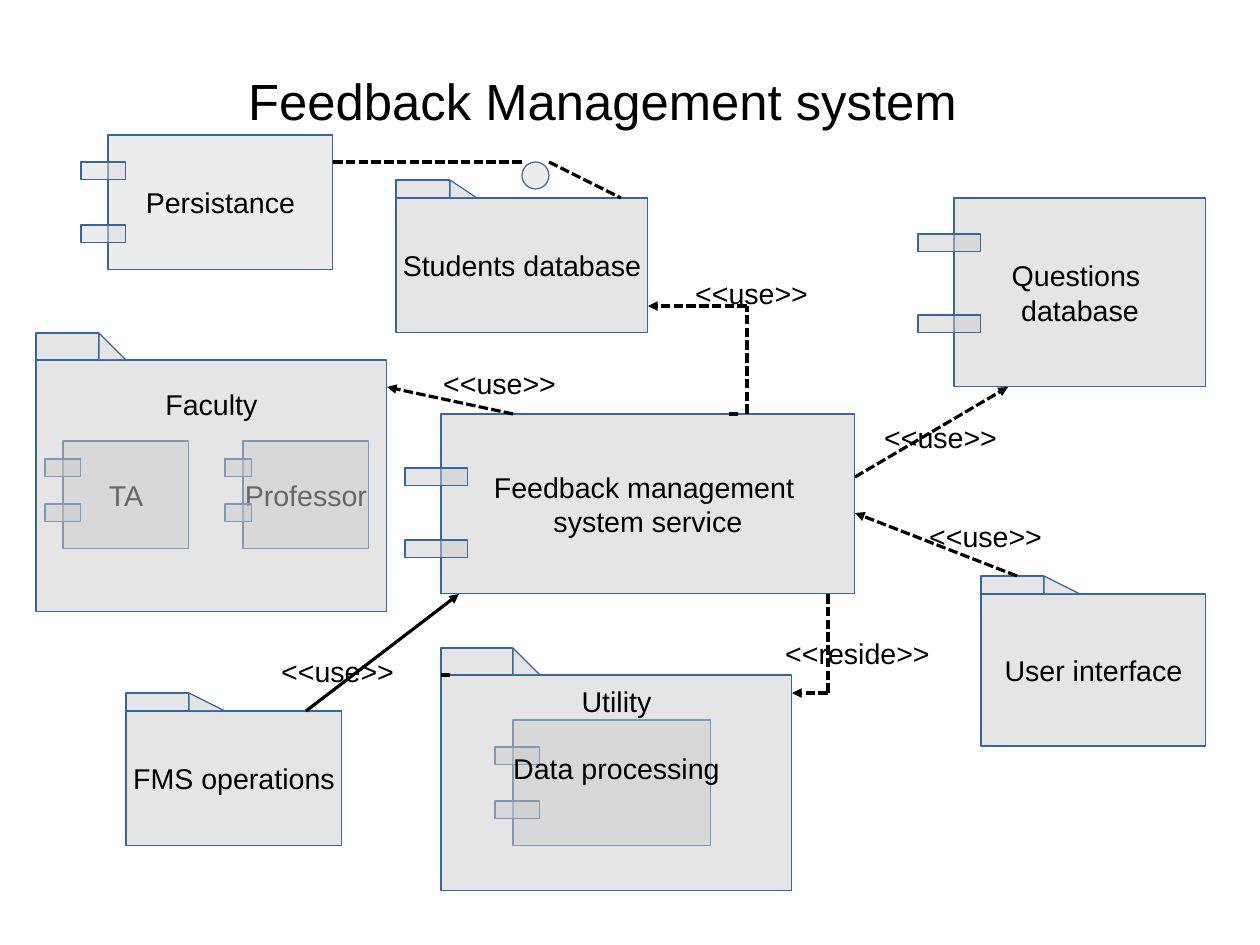
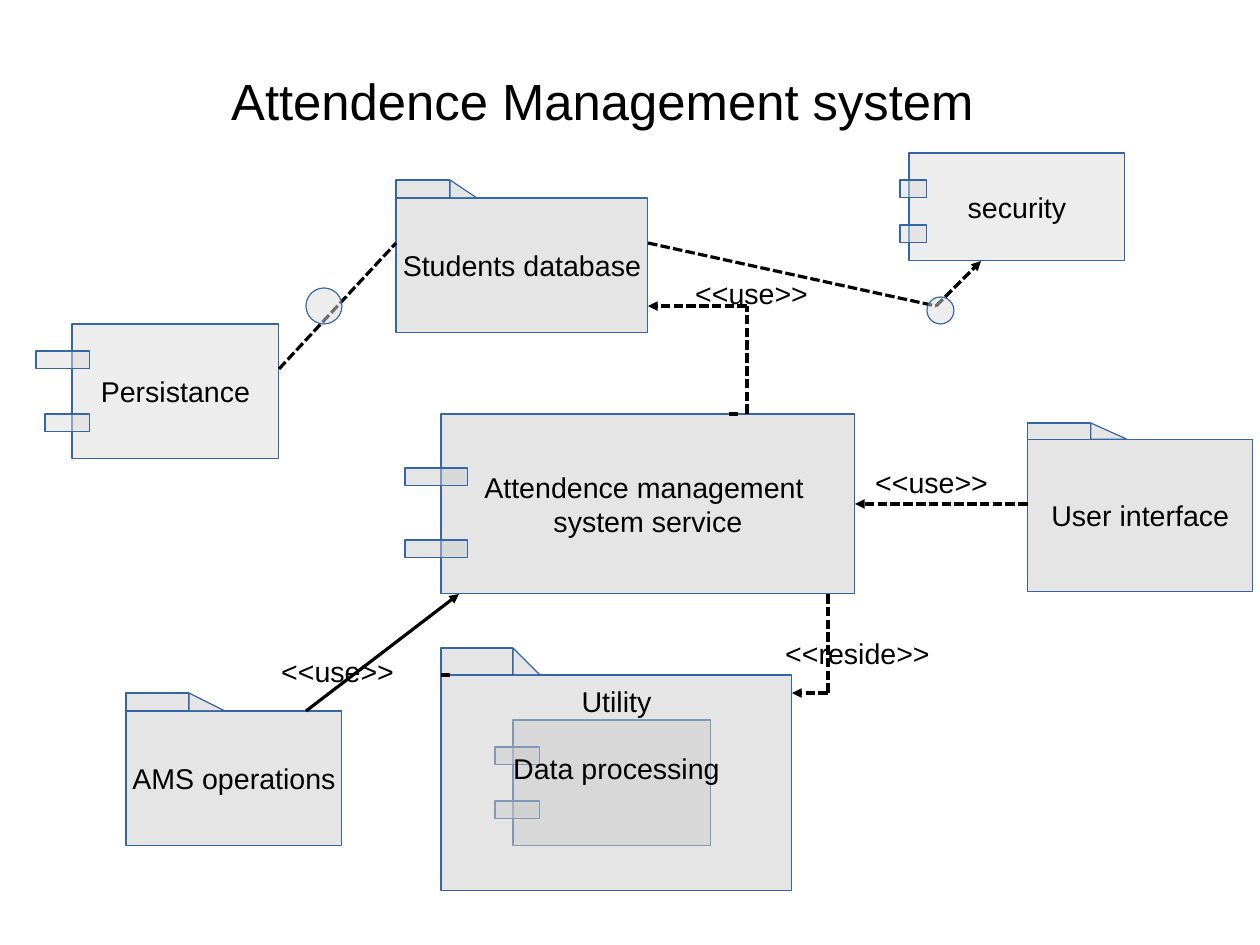
"""Build two UML component diagrams of management systems."""
from dataclasses import dataclass

from lxml import etree
from pptx import Presentation
from pptx.dml.color import RGBColor
from pptx.enum import dml, shapes, text
from pptx.oxml.ns import qn
from pptx.util import Cm, Pt

FONT = "Arial"
COLORS = {"ink": "000000", "outline": "3465A4", "grey": "CCCCCC", "pale": "DDDDDD"}
RECT = shapes.MSO_SHAPE.RECTANGLE
LUG_HEIGHT = 0.4
LABEL_HEIGHT = 0.96
LINE_PITCH = Pt(20.7)


@dataclass(frozen=True)
class Box:
    left: float
    top: float
    width: float
    height: float


@dataclass(frozen=True)
class Component:
    box: Box
    lines: tuple[str, ...]
    lug_outs: tuple[float, float]
    lug_inset: float
    lug_downs: tuple[float, float]
    fill: str = "grey"


@dataclass(frozen=True)
class Package:
    box: Box
    lines: tuple[str, ...]
    tab_width: float
    tab_height: float
    slope_width: float
    text_down: float | None = None


@dataclass(frozen=True)
class Link:
    points: tuple[tuple[float, float], ...]
    arrow: bool = True
    dashed: bool = True


@dataclass(frozen=True)
class Label:
    left: float
    top: float
    width: float
    wording: str = "<<use>>"


@dataclass(frozen=True)
class Interface:
    left: float
    top: float
    size: float


@dataclass(frozen=True)
class Diagram:
    title: str
    elements: tuple


def shared_elements(system: str, initials: str) -> tuple:
    return (
        Component(Box(9.8, 9.2, 9.2, 4), (f"{system} management ", "system service"),
                  (0.8, 0.8), 0.6, (1.2, 2.8)),
        Component(Box(11.4, 16, 4.4, 2.8), (), (0.4, 0.4), 0.6, (0.6, 1.8)),
        Package(Box(9.8, 15, 7.8, 4.8), ("Utility", "Data processing"), 1.6, 0.6, 0.6, 0.2),
        Package(Box(2.8, 15.8, 4.8, 3), (f"{initials} operations",), 1.4, 0.4, 0.8),
        Package(Box(8.8, 4.4, 5.6, 3), ("Students database",), 1.2, 0.4, 0.6),
        Link(((10, 15), (9.8, 15)), arrow=False),
        Link(((16.2, 9.2), (16.4, 9.2)), arrow=False),
        Link(((18.4, 13.2), (18.4, 15.4), (17.6, 15.4))),
        Link(((16.6, 9.2), (16.6, 6.8), (14.4, 6.8))),
        Link(((6.8, 15.8), (10.2, 13.2)), dashed=False),
        Label(17.2, 14, 3.8, "<<reside>>"),
        Label(6, 14.4, 3.8),
        Label(15.2, 6, 3.6),
    )


DIAGRAMS = (
    Diagram("Feedback Management system", shared_elements("Feedback", "FMS") + (
        Component(Box(21.2, 4.4, 5.6, 4.2), ("Questions ", "database"),
                  (0.8, 0.8), 0.6, (0.8, 2.6)),
        Component(Box(1.4, 9.8, 2.8, 2.4), ("TA",), (0.4, 0.4), 0.4, (0.4, 1.4)),
        Component(Box(5.4, 9.8, 2.8, 2.4), ("Professor",), (0.4, 0.4), 0.2, (0.4, 1.4)),
        Component(Box(2.4, 3, 5, 3), ("Persistance",), (0.6, 0.6), 0.4, (0.6, 2), "pale"),
        Package(Box(0.8, 8, 7.8, 5.6), ("Faculty",), 1.4, 0.6, 0.6, 0.6),
        Package(Box(21.8, 13.2, 5, 3.38), ("User interface",), 1.4, 0.4, 0.8),
        Link(((19, 10.6), (22.4, 8.6))),
        Link(((22.6, 12.8), (19, 11.4))),
        Link(((11.4, 9.2), (8.6, 8.6))),
        Link(((7.4, 3.6), (11.6, 3.6)), arrow=False),
        Link(((12.2, 3.6), (13.8, 4.4)), arrow=False),
        Label(19.4, 9.2, 3.6),
        Label(9.6, 8, 3.6),
        Label(20.4, 11.4, 4.8),
        Interface(11.6, 3.6, 0.6),
    )),
    Diagram("Attendence Management system", shared_elements("Attendence", "AMS") + (
        Component(Box(1.6, 7.2, 4.6, 3), ("Persistance",), (0.8, 0.6), 0.4, (0.6, 2), "pale"),
        Component(Box(20.2, 3.4, 4.8, 2.4), ("security",), (0.2, 0.2), 0.4, (0.6, 1.6), "pale"),
        Package(Box(22.84, 9.76, 5, 3.38), ("User interface",), 1.4, 0.36, 0.8),
        Link(((22.84, 11.2), (19, 11.2))),
        Link(((6.2, 8.2), (8.8, 5.4)), arrow=False),
        Link(((14.4, 5.4), (20.8, 6.8)), arrow=False),
        Link(((20.8, 6.8), (21.8, 5.8))),
        Label(19.2, 10.2, 3.8),
        Interface(6.8, 6.4, 0.8),
        Interface(20.6, 6.6, 0.6),
    )),
)


def color(name: str) -> RGBColor:
    return RGBColor.from_string(COLORS[name])


def write(frame, lines: tuple[str, ...], size: int, align) -> None:
    for index, line in enumerate(lines):
        para = frame.paragraphs[0] if index == 0 else frame.add_paragraph()
        para.text = line
        para.alignment = align
        para.font.name = FONT
        para.font.size = Pt(size)
        para.font.color.rgb = color("ink")


def draw_shape(page, kind, box: Box, fill: str):
    shape = page.shapes.add_shape(
        kind, Cm(box.left), Cm(box.top), Cm(box.width), Cm(box.height))
    shape.shadow.inherit = False
    shape.fill.solid()
    shape.fill.fore_color.rgb = color(fill)
    tint = next(shape.element.spPr.iter(qn("a:srgbClr")))
    etree.SubElement(tint, qn("a:alpha"), val="50000")
    shape.line.color.rgb = color("outline")
    shape.line.width = Pt(0)
    return shape


def draw_body(page, box: Box, lines: tuple[str, ...], fill: str):
    frame = draw_shape(page, RECT, box, fill).text_frame
    frame.word_wrap = False
    frame.vertical_anchor = text.MSO_ANCHOR.MIDDLE
    write(frame, lines, 18, text.PP_ALIGN.CENTER)
    return frame


def draw_component(page, component: Component) -> None:
    box = component.box
    draw_body(page, box, component.lines, component.fill)
    for out, down in zip(component.lug_outs, component.lug_downs):
        lug = Box(box.left - out, box.top + down, out + component.lug_inset, LUG_HEIGHT)
        draw_shape(page, RECT, lug, component.fill)


def draw_package(page, folder: Package) -> None:
    box = folder.box
    frame = draw_body(page, box, folder.lines, "grey")
    if folder.text_down is not None:
        frame.vertical_anchor = text.MSO_ANCHOR.TOP
        frame.margin_top = Cm(folder.text_down)
        for para in frame.paragraphs[1:]:
            para.space_before = LINE_PITCH
    top = box.top - folder.tab_height
    draw_shape(page, RECT, Box(box.left, top, folder.tab_width, folder.tab_height), "grey")
    slope = Box(box.left + folder.tab_width, top, folder.slope_width, folder.tab_height)
    draw_shape(page, shapes.MSO_SHAPE.RIGHT_TRIANGLE, slope, "grey")


def draw_link(page, link: Link) -> None:
    for start, end in zip(link.points, link.points[1:]):
        connector = page.shapes.add_connector(
            shapes.MSO_CONNECTOR.STRAIGHT, *(Cm(value) for value in start + end))
        connector.line.color.rgb = color("ink")
        connector.line.width = Pt(0)
        if link.dashed:
            connector.line.dash_style = dml.MSO_LINE.SQUARE_DOT
        if link.arrow and end == link.points[-1]:
            outline = connector.element.spPr.find(qn("a:ln"))
            etree.SubElement(outline, qn("a:tailEnd"), type="triangle")
        etree.SubElement(connector.element.spPr, qn("a:effectLst"))


def draw_label(page, label: Label) -> None:
    frame = page.shapes.add_textbox(
        Cm(label.left), Cm(label.top), Cm(label.width), Cm(LABEL_HEIGHT)).text_frame
    frame.word_wrap = True
    write(frame, (label.wording,), 18, text.PP_ALIGN.LEFT)


def draw_interface(page, ball: Interface) -> None:
    box = Box(ball.left, ball.top, ball.size, ball.size)
    draw_shape(page, shapes.MSO_SHAPE.OVAL, box, "pale")


def draw_title(page, wording: str) -> None:
    title = page.shapes.title
    title.left, title.top, title.width, title.height = Cm(1.4), Cm(0.84), Cm(24), Cm(2.77)
    frame = title.text_frame
    frame.margin_left = frame.margin_right = frame.margin_top = frame.margin_bottom = 0
    frame.vertical_anchor = text.MSO_ANCHOR.MIDDLE
    write(frame, (wording,), 32, text.PP_ALIGN.CENTER)


PAINTERS = {
    Component: draw_component,
    Package: draw_package,
    Link: draw_link,
    Label: draw_label,
    Interface: draw_interface,
}


def draw_diagram(page, diagram: Diagram) -> None:
    draw_title(page, diagram.title)
    for kind, painter in PAINTERS.items():
        for element in diagram.elements:
            if isinstance(element, kind):
                painter(page, element)


def main() -> None:
    deck = Presentation()
    deck.slide_width, deck.slide_height = Cm(28), Cm(21)
    title_only = deck.slide_layouts[5]
    for diagram in DIAGRAMS:
        draw_diagram(deck.slides.add_slide(title_only), diagram)
    deck.save("out.pptx")


if __name__ == "__main__":
    main()
